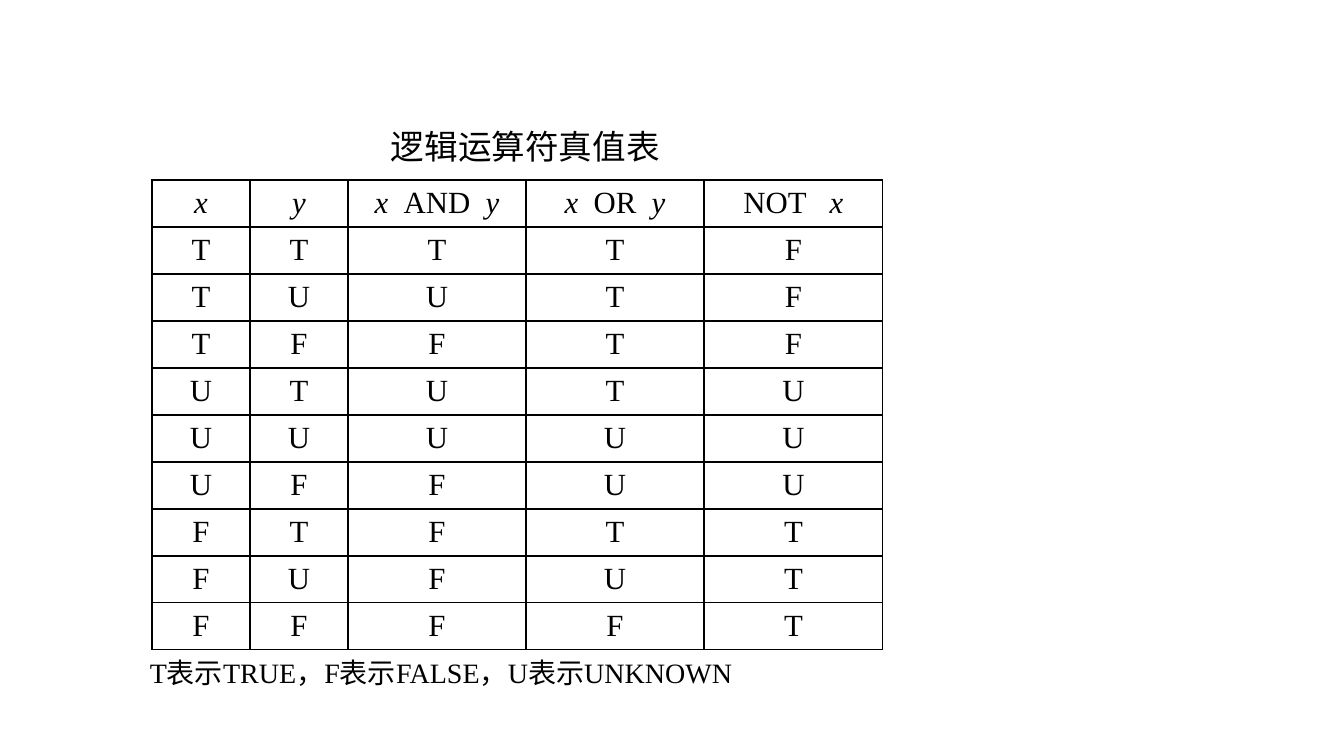
from dataclasses import dataclass
from itertools import product
from typing import NamedTuple

from lxml import etree
from pptx import Presentation
from pptx import util as u
from pptx.dml.color import RGBColor
from pptx.enum import text
from pptx.oxml import ns

EMU_PER_PIXEL = 914400 / 100.8
COLORS = {"ink": "000000"}
SERIF, SANS = "Times New Roman", "Arial"
COLUMN_WIDTHS = (98, 98, 178, 178, 179)
ROW_HEIGHT = 47
CELL_SIZE = 22
TRUTH_ORDER = "FUT"


class Span(NamedTuple):
    """A piece of header text; tracking is in hundredths of a point."""
    text: str
    italic: bool = False
    tracking: int = 0


@dataclass
class Label:
    """A line of text in a box, with lengths in pixels."""
    text: str
    left: int
    top: int
    width: int
    height: int
    size: int
    font: str
    align: text.PP_ALIGN


X, Y = Span("x", italic=True), Span("y", italic=True)
GAP, WIDE_GAP = Span(" ", tracking=550), Span(" ", tracking=1100)
HEADER = (
    (X,),
    (Y,),
    (X, GAP, Span("AND"), GAP, Y),
    (X, GAP, Span("OR"), GAP, Y),
    (Span("NOT"), WIDE_GAP, X),
)
LABELS = (
    Label("T表示TRUE，F表示FALSE，U表示UNKNOWN", 86, 651, 710, 44, 20, SERIF,
          text.PP_ALIGN.CENTER),
    Label("逻辑运算符真值表", 381, 121, 378, 50, 24, SANS, text.PP_ALIGN.LEFT),
)


def px(pixels: int) -> u.Emu:
    """Turn pixels into EMU."""
    return u.Emu(round(pixels * EMU_PER_PIXEL))


def style_paragraph(para, size: int, font: str, align: text.PP_ALIGN) -> None:
    """Set alignment and font of a whole paragraph."""
    para.alignment = align
    para.font.size = u.Pt(size)
    para.font.name = font
    para.font.color.rgb = RGBColor.from_string(COLORS["ink"])


def add_label(page, label: Label) -> None:
    """Add a text box holding one line."""
    box = page.shapes.add_textbox(
        px(label.left), px(label.top), px(label.width), px(label.height))
    box.text_frame.word_wrap = True
    para = box.text_frame.paragraphs[0]
    para.text = label.text
    style_paragraph(para, label.size, label.font, label.align)


def add_borders(cell) -> None:
    """Draw a thin line on all four sides of a cell, ahead of its fill."""
    properties = cell._tc.get_or_add_tcPr()
    for index, side in enumerate(("lnL", "lnR", "lnT", "lnB")):
        line = etree.Element(ns.qn(f"a:{side}"), w=str(u.Pt(1)))
        fill = etree.SubElement(line, ns.qn("a:solidFill"))
        etree.SubElement(fill, ns.qn("a:srgbClr"), val=COLORS["ink"])
        properties.insert(index, line)


def fill_cell(cell, spans: tuple[Span, ...]) -> None:
    """Write centred spans into a plain bordered cell."""
    cell.fill.background()
    add_borders(cell)
    cell.vertical_anchor = text.MSO_ANCHOR.MIDDLE
    para = cell.text_frame.paragraphs[0]
    style_paragraph(para, CELL_SIZE, SERIF, text.PP_ALIGN.CENTER)
    for span in spans:
        run = para.add_run()
        run.text = span.text
        if span.italic:
            run.font.italic = True
        if span.tracking:
            run._r.get_or_add_rPr().set("spc", str(span.tracking))


def truth_rows() -> list[tuple[str, ...]]:
    """Work out x, y, x AND y, x OR y and NOT x in three-valued logic."""
    rank = TRUTH_ORDER.index
    return [
        (x, y, min(x, y, key=rank), max(x, y, key=rank),
         TRUTH_ORDER[2 - rank(x)])
        for x, y in product(reversed(TRUTH_ORDER), repeat=2)
    ]


def add_truth_table(page, left: int, top: int) -> None:
    """Add the truth table with its header row."""
    rows = [HEADER] + [tuple((Span(value),) for value in row)
                       for row in truth_rows()]
    table = page.shapes.add_table(
        len(rows), len(COLUMN_WIDTHS), px(left), px(top),
        px(sum(COLUMN_WIDTHS)), px(ROW_HEIGHT * len(rows))).table
    table.first_row = table.horz_banding = False
    for column, width in zip(table.columns, COLUMN_WIDTHS):
        column.width = px(width)
    for table_row, row in zip(table.rows, rows):
        table_row.height = px(ROW_HEIGHT)
        for cell, spans in zip(table_row.cells, row):
            fill_cell(cell, spans)


def main() -> None:
    """Build and save the slide."""
    deck = Presentation()
    deck.slide_width, deck.slide_height = px(1344), px(756)
    page = deck.slides.add_slide(deck.slide_layouts[6])
    add_truth_table(page, 152, 180)
    for label in LABELS:
        add_label(page, label)
    deck.save("out.pptx")


main()
